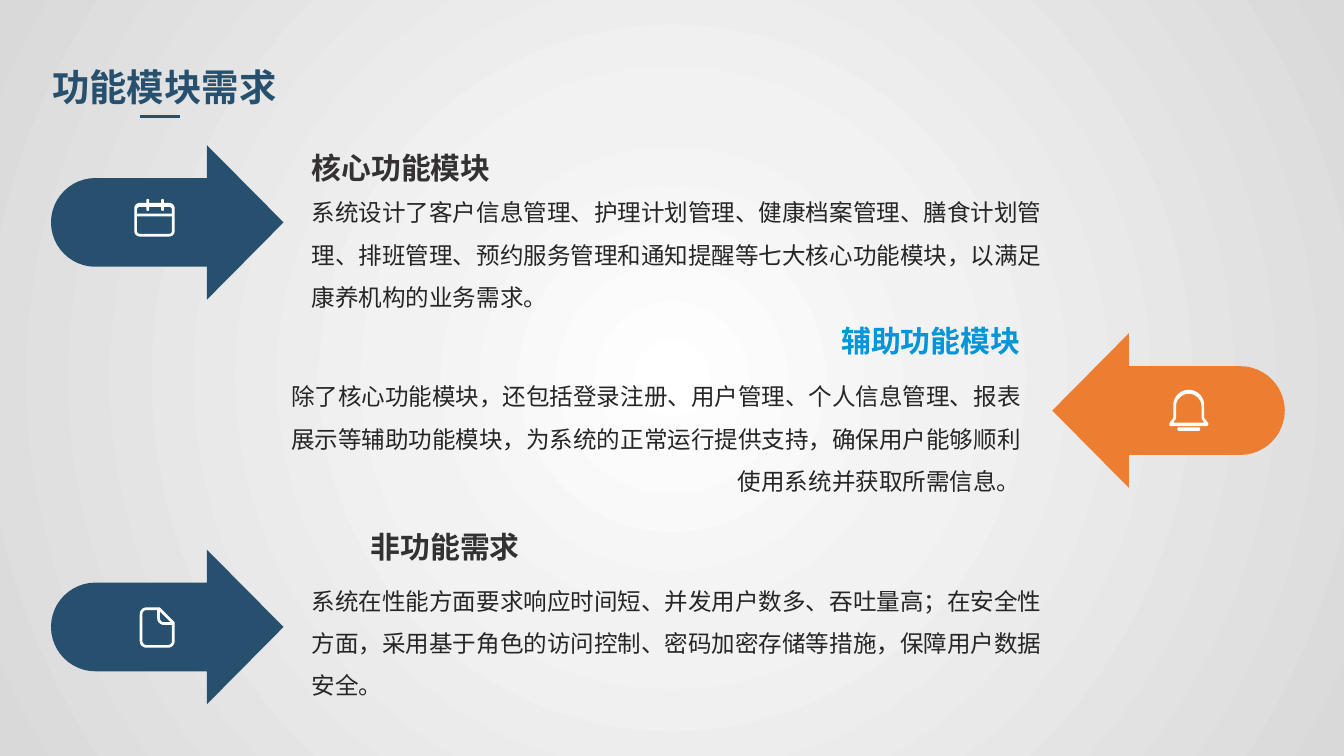
from dataclasses import dataclass
from math import hypot

from lxml import etree
from pptx import Presentation
from pptx import util as u
from pptx.dml.color import RGBColor
from pptx.enum import shapes, text
from pptx.oxml import parse_xml
from pptx.oxml.ns import nsdecls, qn


@dataclass(frozen=True)
class Theme:
    """Colours, font and type sizes of the slide."""
    navy: str = "27506E"
    orange: str = "ED7D31"
    blue: str = "0094D9"
    ink: str = "333132"
    body: str = "262626"
    white: str = "FFFFFF"
    backdrop: tuple = ((0, "FFFFFF"), (35, "F2F2F2"), (100, "D9D9D9"))
    font: str = "Noto Sans CJK SC"
    title_size: float = 20
    heading_size: float = 16
    body_size: float = 12.6


THEME = Theme()
CELL = u.Inches(0.01)
COLUMNS, ROWS = 1000, 562.5
ARROW_W = 173
TEXT_W = 557

ARROW = [[(116, 0), (173, 57.5), (116, 115), (116, 90.5), (0, 90.5, 33),
          (0, 24.5, 33), (116, 24.5)]]
CALENDAR = [
    [(0, 3, 4), (9, 3), (9, 0, 1), (11, 0, 1), (11, 3), (20, 3), (20, 0, 1),
     (22, 0, 1), (22, 3), (30, 3, 4), (30, 28, 4), (0, 28, 4)],
    [(2, 6, 2), (9, 6), (9, 9, 1), (11, 9, 1), (11, 6), (20, 6), (20, 9, 1),
     (22, 9, 1), (22, 6), (28, 6, 2), (28, 11), (2, 11)],
    [(2, 13), (28, 13), (28, 26, 2), (2, 26, 2)],
]
BELL = [
    [(3, 0, 11.5), (26, 0, 11.5), (26, 21), (29, 25), (29, 27, 1),
     (0, 27, 1), (0, 25), (3, 21)],
    [(5, 3, 9.5), (24, 3, 9.5), (24, 21.5), (26, 24.5), (3, 24.5), (5, 21.5)],
    [(6, 28, 1), (23, 28, 1), (23, 30.5, 1), (6, 30.5, 1)],
]
PAGE = [
    [(0, 0, 5), (15, 0), (26, 11), (26, 30, 5), (0, 30, 5)],
    [(2, 2, 3), (13, 2), (13, 13, 5), (24, 13), (24, 28, 3), (2, 28, 3)],
    [(15, 3), (23, 11), (15, 11, 3)],
]

SECTIONS = [
    dict(box=(38, 108), icon=CALENDAR, icon_at=(62, 40), color=THEME.navy,
         heading="核心功能模块", heading_at=(194, -21), heading_color=THEME.ink,
         body="系统设计了客户信息管理、护理计划管理、健康档案管理、膳食计划管理、排班管理、"
              "预约服务管理和通知提醒等七大核心功能模块，以满足康养机构的业务需求。",
         body_at=(194, 29), body_h=64),
    dict(box=(783, 248), icon=BELL, icon_at=(87, 42), color=THEME.orange,
         heading="辅助功能模块", heading_at=(-581, -32), heading_color=THEME.blue,
         body="除了核心功能模块，还包括登录注册、用户管理、个人信息管理、报表展示等辅助功能模块，"
              "为系统的正常运行提供支持，确保用户能够顺利使用系统并获取所需信息。",
         body_at=(-581, 26), body_h=165, flip=True),
    dict(box=(38, 409), icon=PAGE, icon_at=(66, 43), color=THEME.navy,
         heading="非功能需求", heading_at=(238, -40), heading_color=THEME.ink,
         body="系统在性能方面要求响应时间短、并发用户数多、吞吐量高；在安全性方面，"
              "采用基于角色的访问控制、密码加密存储等措施，保障用户数据安全。",
         body_at=(194, 17), body_h=64),
]


def cells(*values):
    """Turn grid counts into lengths."""
    return [u.Emu(round(v * CELL)) for v in values]


def round_corners(corners):
    """Return the points of an outline whose corners may carry a radius."""
    points = []
    for i, (x, y, *radius) in enumerate(corners):
        if not radius:
            points.append((x, y))
            continue
        arms = []
        for nx, ny, *_ in (corners[i - 1], corners[(i + 1) % len(corners)]):
            reach = radius[0] / hypot(nx - x, ny - y)
            arms.append(((nx - x) * reach, (ny - y) * reach))
        (ax, ay), (bx, by) = arms
        for step in range(13):
            t = step / 12
            a = (1 - t) ** 3 + 3 * (1 - t) ** 2 * t * 0.45
            b = t ** 3 + 3 * t ** 2 * (1 - t) * 0.45
            points.append((x + a * ax + b * bx, y + a * ay + b * by))
    return points


def add_outline(s, left, top, contours, color, mirror_w=None):
    """Draw filled contours at a grid position, mirrored when a width is given."""
    builder = None
    for corners in contours:
        points = [cells(left + (mirror_w - x if mirror_w else x), top + y)
                  for x, y in round_corners(corners)]
        if builder is None:
            builder = s.shapes.build_freeform(*points[0], scale=1.0)
        else:
            builder.move_to(*points[0])
        builder.add_line_segments(points[1:], close=True)
    sp = builder.convert_to_shape()
    sp.shadow.inherit = False
    sp.fill.solid()
    sp.fill.fore_color.rgb = RGBColor.from_string(color)
    sp.line.fill.background()


def add_text(s, box, words, size, color, bold=False, spacing=None,
             align=text.PP_ALIGN.LEFT, anchor=text.MSO_ANCHOR.TOP, inset=True):
    """Place one paragraph in a grid box."""
    tf = s.shapes.add_textbox(*cells(*box)).text_frame
    tf.word_wrap = True
    tf.vertical_anchor = anchor
    if not inset:
        tf.margin_left = tf.margin_top = tf.margin_right = tf.margin_bottom = 0
    p = tf.paragraphs[0]
    p.text = words
    p.alignment = align
    p.line_spacing = spacing
    r = p.runs[0]
    r.font.size = u.Pt(size)
    r.font.bold = bold
    r.font.color.rgb = RGBColor.from_string(color)
    r.font.name = THEME.font
    etree.SubElement(r.font._element, qn("a:ea")).set("typeface", THEME.font)


def add_backdrop(s):
    """Fill the background with a gradient spreading from the centre."""
    stops = "".join(f'<a:gs pos="{pos * 1000}"><a:srgbClr val="{color}"/></a:gs>'
                    for pos, color in THEME.backdrop)
    s._element.cSld.insert(0, parse_xml(
        f'<p:bg {nsdecls("p", "a")}><p:bgPr><a:gradFill rotWithShape="1">'
        f'<a:gsLst>{stops}</a:gsLst><a:path path="circle">'
        '<a:fillToRect l="50000" t="50000" r="50000" b="50000"/></a:path>'
        '</a:gradFill><a:effectLst/></p:bgPr></p:bg>'))


def add_title(s, box, words):
    """Place the slide title and its short rule in a grid box."""
    left, top, _, height = box
    rule = s.shapes.add_connector(
        shapes.MSO_CONNECTOR.STRAIGHT,
        *cells(left + 75, top + height, left + 105, top + height))
    rule.line.color.rgb = RGBColor.from_string(THEME.navy)
    rule.line.width = u.Pt(1.5)
    etree.SubElement(rule._element.spPr, qn("a:effectLst"))
    add_text(s, box, words, THEME.title_size, THEME.navy, bold=True)


def add_section(s, box, icon, icon_at, color, heading, heading_at, heading_color,
                body, body_at, body_h, flip=False):
    """Place an arrow with its icon, heading and body around a grid position."""
    left, top = box
    align = text.PP_ALIGN.RIGHT if flip else text.PP_ALIGN.LEFT
    add_outline(s, left, top, ARROW, color, ARROW_W if flip else None)
    add_outline(s, left + icon_at[0], top + icon_at[1], icon, THEME.white)
    add_text(s, (left + body_at[0], top + body_at[1], TEXT_W, body_h), body,
             THEME.body_size, THEME.body, spacing=1.5, align=align, inset=False)
    add_text(s, (left + heading_at[0], top + heading_at[1], TEXT_W, 51), heading,
             THEME.heading_size, heading_color, bold=True, spacing=1.3, align=align,
             anchor=text.MSO_ANCHOR.BOTTOM, inset=False)


def main():
    """Build and save the slide."""
    prs = Presentation()
    prs.slide_width, prs.slide_height = cells(COLUMNS, ROWS)
    s = prs.slides.add_slide(prs.slide_layouts[6])
    add_backdrop(s)
    add_title(s, (29, 43, 193, 44), "功能模块需求")
    for section in SECTIONS:
        add_section(s, **section)
    prs.save("out.pptx")


if __name__ == "__main__":
    main()
